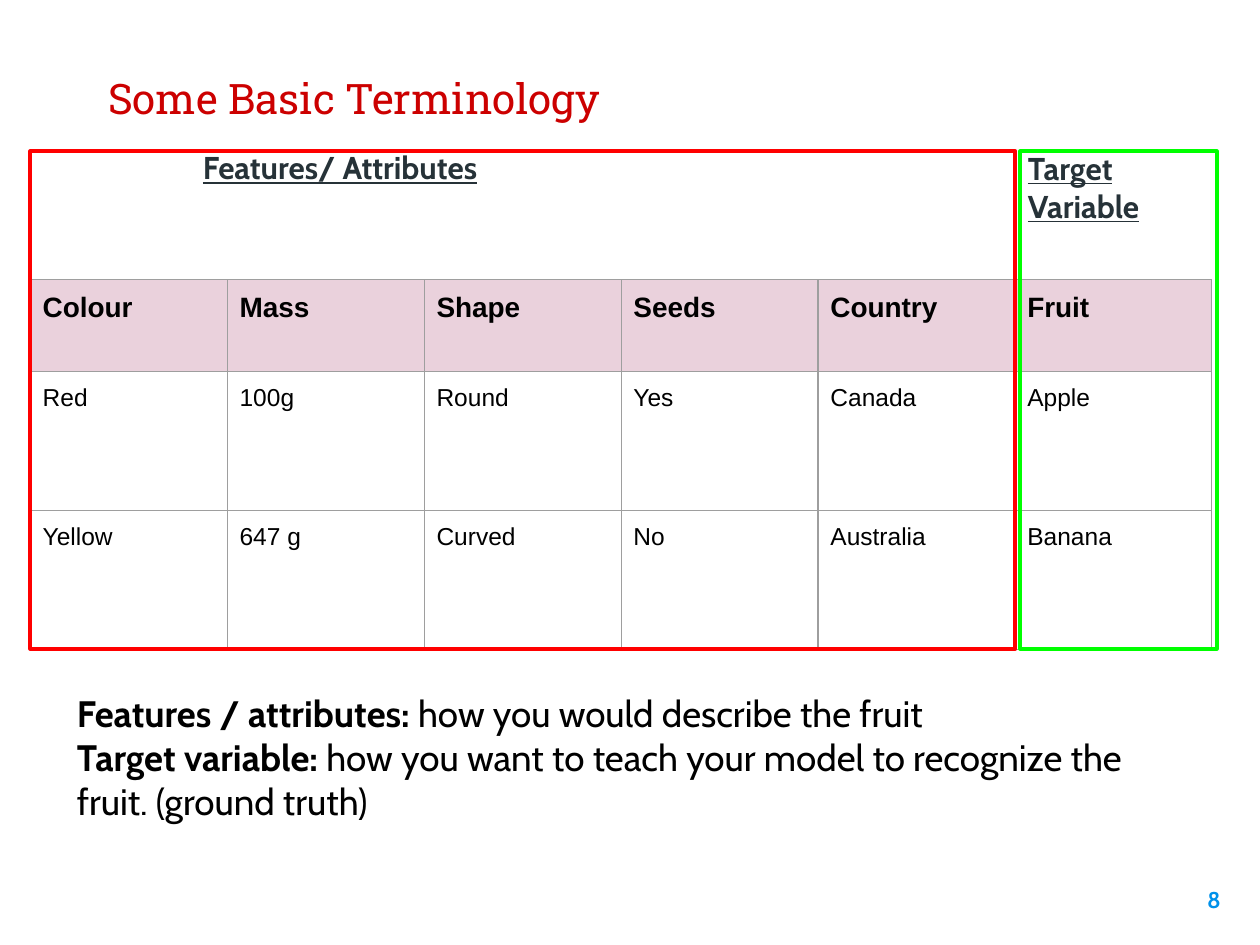
import pptx
import pptx.util
import pptx.dml.color
import pptx.enum.shapes
import pptx.enum.text
import pptx.oxml
import pptx.oxml.ns

Cm = pptx.util.Cm
Pt = pptx.util.Pt
ALIGN = pptx.enum.text.PP_ALIGN
ANCHOR = pptx.enum.text.MSO_ANCHOR

COLOURS = {
    "title": "CC0000",
    "heading": "263238",
    "text": "000000",
    "number": "0091EA",
    "header": "EAD1DC",
    "grid": "9E9E9E",
    "features": "FF0000",
    "target": "00FF00",
}


def rgb(name):
    return pptx.dml.color.RGBColor.from_string(COLOURS[name])


class TerminologySlide:
    inset = Cm(0.25)
    body_font = "Cabin"
    table_font = "Arial"

    def __init__(self, presentation):
        self.slide = presentation.slides.add_slide(presentation.slide_layouts[5])

    def style(self, paragraph, size, colour, font=None, bold=None, underline=None):
        paragraph.font.size = Pt(size)
        paragraph.font.name = font or self.body_font
        paragraph.font.color.rgb = rgb(colour)
        paragraph.font.bold = bold
        paragraph.font.underline = underline

    def frame(self, shape, anchor):
        text = shape.text_frame
        text.word_wrap = True
        text.auto_size = pptx.enum.text.MSO_AUTO_SIZE.NONE
        text.vertical_anchor = anchor
        text.margin_left = text.margin_right = self.inset
        text.margin_top = text.margin_bottom = self.inset
        return text

    def title(self, words, left, top, width, height):
        title = self.slide.shapes.title
        title.left, title.top = Cm(left), Cm(top)
        title.width, title.height = Cm(width), Cm(height)
        paragraph = self.frame(title, ANCHOR.BOTTOM).paragraphs[0]
        paragraph.text = words
        paragraph.alignment = ALIGN.LEFT
        self.style(paragraph, 24, "title", "Roboto Slab")

    def text(self, lines, box, size, colour, anchor=ANCHOR.TOP, align=ALIGN.LEFT,
             space_before=0, bold=None, underline=None):
        """Each line is a list of (words, bold) runs; None takes the paragraph's weight."""
        shape = self.slide.shapes.add_textbox(*map(Cm, box))
        text = self.frame(shape, anchor)
        for index, line in enumerate(lines):
            paragraph = text.add_paragraph() if index else text.paragraphs[0]
            paragraph.alignment = align
            paragraph.space_before = Pt(space_before)
            self.style(paragraph, size, colour, bold=bold, underline=underline)
            for words, weight in line:
                run = paragraph.add_run()
                run.text = words
                run.font.bold = weight

    def heading(self, words, box, anchor):
        self.text([[(words, None)]], box, 18, "heading", anchor,
                  space_before=6, bold=True, underline=True)

    def cell_borders(self, cell):
        properties = cell._tc.get_or_add_tcPr()
        for position, side in enumerate(("lnL", "lnR", "lnT", "lnB")):
            properties.insert(position, pptx.oxml.parse_xml(
                f'<a:{side} {pptx.oxml.ns.nsdecls("a")} w="{Pt(0.75)}"><a:solidFill>'
                f'<a:srgbClr val="{COLOURS["grid"]}"/></a:solidFill></a:{side}>'))

    def table(self, rows, left, top, column_width, row_heights):
        columns = len(rows[0])
        table = self.slide.shapes.add_table(
            len(rows), columns, Cm(left), Cm(top),
            Cm(column_width * columns), Cm(sum(row_heights))).table
        table.horz_banding = False
        for column in table.columns:
            column.width = Cm(column_width)
        for r, (row, height) in enumerate(zip(rows, row_heights)):
            table.rows[r].height = Cm(height)
            is_header = r == 0
            for c, words in enumerate(row):
                cell = table.cell(r, c)
                cell.margin_left = cell.margin_right = self.inset
                cell.margin_top = cell.margin_bottom = self.inset
                if is_header:
                    cell.fill.solid()
                    cell.fill.fore_color.rgb = rgb("header")
                else:
                    cell.fill.background()
                paragraph = cell.text_frame.paragraphs[0]
                paragraph.text = words
                self.style(paragraph, 16 if is_header else 14, "text",
                           self.table_font, bold=is_header)
                self.cell_borders(cell)

    def outline(self, box, colour):
        frame = self.slide.shapes.add_shape(
            pptx.enum.shapes.MSO_SHAPE.RECTANGLE, *map(Cm, box))
        frame.shadow.inherit = False
        frame.fill.background()
        frame.line.color.rgb = rgb(colour)
        frame.line.width = Pt(2.25)


def main():
    presentation = pptx.Presentation()
    presentation.slide_width, presentation.slide_height = Cm(25.4), Cm(19.05)
    terminology = TerminologySlide(presentation)

    # Title and column group headings
    terminology.title("Some Basic Terminology", 1.93, 0.13, 21.03, 2.59)
    terminology.heading("Features/ Attributes", (3.84, 2.74, 6.73, 13.79), ANCHOR.TOP)
    terminology.heading("Target Variable", (20.47, 0.97, 3.96, 5.59), ANCHOR.MIDDLE)

    # Page number
    terminology.text([[("8", None)]], (23.34, 17.6, 1.52, 1.45), 13, "number",
                     align=ALIGN.RIGHT, bold=True)

    # Fruit examples
    fruits = [
        ["Colour", "Mass", "Shape", "Seeds", "Country", "Fruit"],
        ["Red", "100g", "Round", "Yes", "Canada", "Apple"],
        ["Yellow", "647 g", "Curved", "No", "Australia", "Banana"],
    ]
    terminology.table(fruits, 0.61, 5.64, 3.97, [1.85, 2.8, 2.8])

    # Frames around the feature columns and the target column
    frame_top, frame_height = 3.05, 10.03
    terminology.outline((0.61, frame_top, 19.86, frame_height), "features")
    terminology.outline((20.57, frame_top, 3.96, frame_height), "target")

    # Definitions
    definitions = [
        [("Features / attributes: ", True), ("how you would describe the fruit", False)],
        [("Target variable: ", True),
         ("how you want to teach your model to recognize the fruit. (ground truth)", False)],
    ]
    terminology.text(definitions, (1.3, 13.67, 22.05, 4.32), 21, "text")

    presentation.save("out.pptx")


if __name__ == "__main__":
    main()
